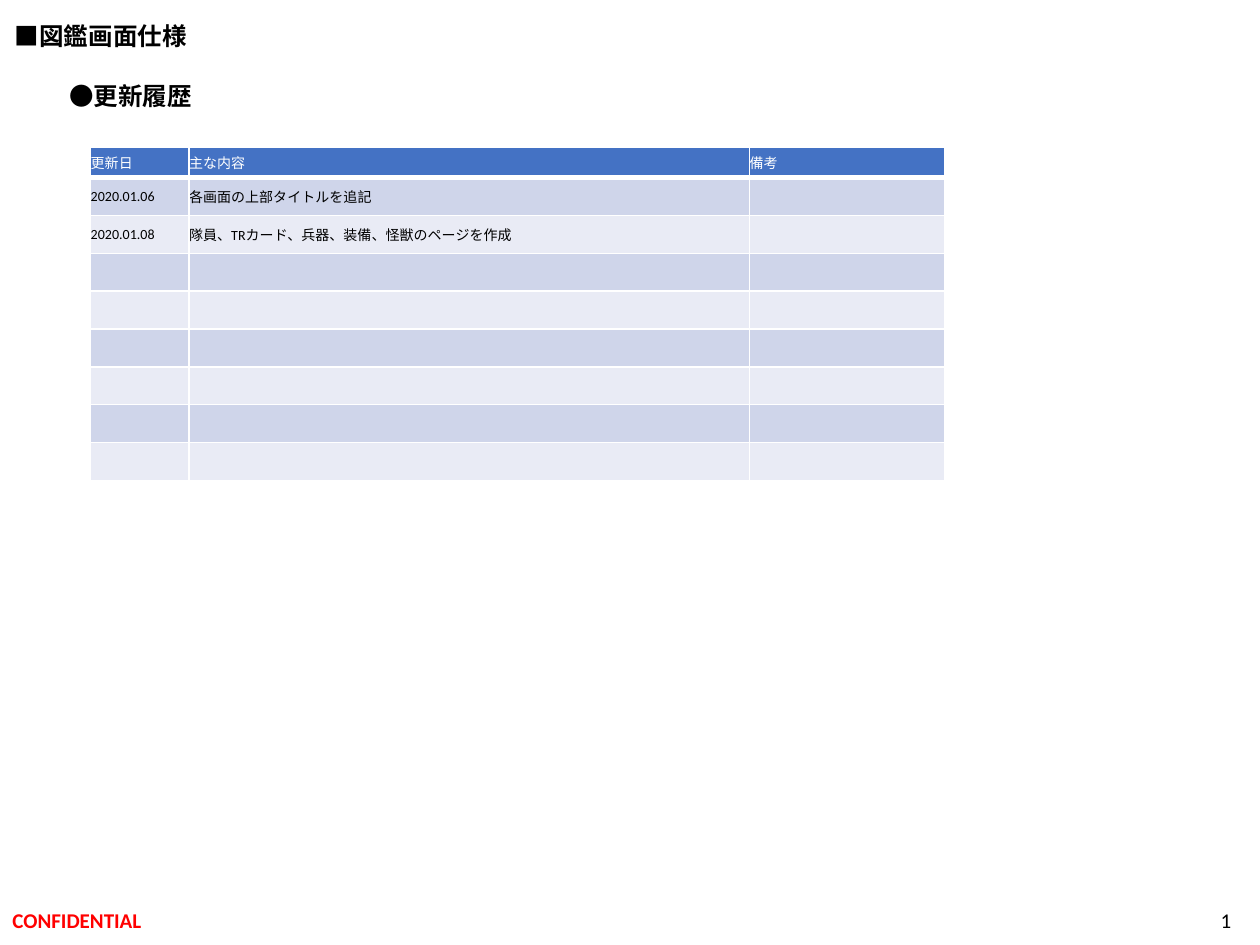
from lxml.etree import SubElement
from pptx import Presentation
from pptx.dml.color import RGBColor
from pptx.enum.text import MSO_ANCHOR, MSO_AUTO_SIZE, PP_ALIGN
from pptx.oxml.ns import qn
from pptx.util import Inches, Pt

COLORS = {
    "black": "000000", "white": "FFFFFF", "red": "FF0000",
    "header": "4472C4", "odd": "CFD5EA", "even": "E9EBF5",
}
HEADINGS = [
    ("■図鑑画面仕様", (0.02, 0.12, 1.58, 0.34), "Arial"),
    ("●更新履歴", (0.45, 0.59, 1.18, 0.34), "Calibri"),
]
FOOTERS = [
    ("CONFIDENTIAL", (0, 7.1, 3.38, 0.4), "red", True, PP_ALIGN.LEFT),
    ("1", (7.62, 7.1, 2.25, 0.4), "black", False, PP_ALIGN.RIGHT),
]
HISTORY = [
    ("更新日", "主な内容", "備考"),
    ("2020.01.06", "各画面の上部タイトルを追記", ""),
    ("2020.01.08", "隊員、TRカード、兵器、装備、怪獣のページを作成", ""),
] + [("", "", "")] * 6
COLUMN_WIDTHS = (0.78, 4.45, 1.55)
HEADER_HEIGHT, ROW_HEIGHT = 0.24, 0.3


def style(paragraph, size, color, bold=False, font="Calibri"):
    for span in paragraph.runs:
        span.font.name = font
        span.font.size = Pt(size)
        span.font.bold = bold
        span.font.color.rgb = RGBColor.from_string(COLORS[color])


def add_text(page, text, place, size, color, bold, font="Calibri"):
    box = page.shapes.add_textbox(*map(Inches, place))
    frame = box.text_frame
    frame.text = text
    style(frame.paragraphs[0], size, color, bold, font)
    return frame


def add_borders(cell, bottom_width):
    properties = cell._tc.get_or_add_tcPr()
    for side, width in (("L", 1), ("R", 1), ("T", 1), ("B", bottom_width)):
        line = SubElement(properties, qn(f"a:ln{side}"), w=str(Pt(width)))
        fill = SubElement(line, qn("a:solidFill"))
        SubElement(fill, qn("a:srgbClr"), val=COLORS["white"])


def fill_cell(cell, text, row):
    is_header = row == 0
    add_borders(cell, 3 if is_header else 1)
    cell.fill.solid()
    fill = "header" if is_header else "odd" if row % 2 else "even"
    cell.fill.fore_color.rgb = RGBColor.from_string(COLORS[fill])
    cell.margin_left = cell.margin_right = cell.margin_top = cell.margin_bottom = 0
    cell.vertical_anchor = MSO_ANCHOR.MIDDLE
    if text:
        cell.text_frame.text = text
        style(cell.text_frame.paragraphs[0], 8, "white" if is_header else "black")


def add_history(page):
    heights = [HEADER_HEIGHT] + [ROW_HEIGHT] * (len(HISTORY) - 1)
    table = page.shapes.add_table(
        len(HISTORY), len(COLUMN_WIDTHS), Inches(0.72), Inches(1.17),
        Inches(sum(COLUMN_WIDTHS)), Inches(sum(heights))).table
    for column, width in zip(table.columns, COLUMN_WIDTHS):
        column.width = Inches(width)
    for index, (entry, height) in enumerate(zip(HISTORY, heights)):
        table.rows[index].height = Inches(height)
        for cell, text in zip(table.rows[index].cells, entry):
            fill_cell(cell, text, index)


def main():
    deck = Presentation()
    deck.slide_width, deck.slide_height = Inches(10), Inches(7.5)
    page = deck.slides.add_slide(deck.slide_layouts[6])
    for text, place, font in HEADINGS:
        frame = add_text(page, text, place, 14, "black", True, font)
        frame.word_wrap = False
        frame.auto_size = MSO_AUTO_SIZE.SHAPE_TO_FIT_TEXT
    for text, place, color, bold, alignment in FOOTERS:
        frame = add_text(page, text, place, 12, color, bold)
        frame.word_wrap = True
        frame.vertical_anchor = MSO_ANCHOR.MIDDLE
        frame.paragraphs[0].alignment = alignment
    add_history(page)
    deck.save("out.pptx")


if __name__ == "__main__":
    main()
